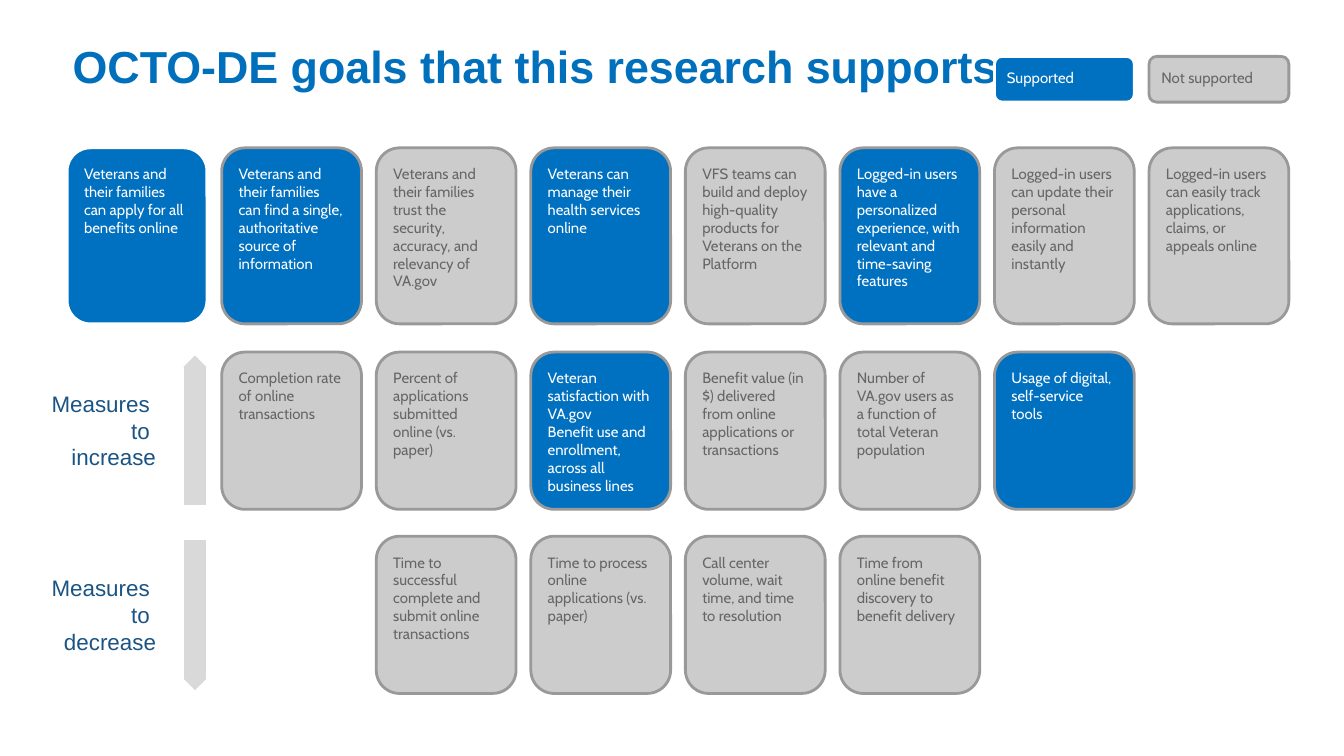
"""Build the slide that maps research to organisation goals and measures."""
from dataclasses import dataclass

from lxml import etree
from pptx import Presentation
from pptx import util as u
from pptx.dml.color import RGBColor
from pptx.enum import shapes, text
from pptx.oxml import ns


@dataclass(frozen=True)
class Theme:
    """Colours, fonts and type sizes of the slide."""
    title: str = "0070BC"
    label: str = "1A5484"
    supported: str = "0070C0"
    unsupported: str = "CCCCCC"
    outline: str = "999999"
    muted: str = "666666"
    white: str = "FFFFFF"
    arrow: str = "D9D9D9"
    heading_font: str = "Arial"
    card_font: str = "Cabin"
    title_size: int = 24
    label_size: int = 12
    card_size: int = 8


THEME = Theme()
SLIDE_WIDTH = 10
LEFT, PITCH, CARD_WIDTH = 0.5, 1.15, 1.04
CARD_INSET = 0.15 / 2

GOALS = [
    ("Veterans and their families can apply for all benefits online", True),
    ("Veterans and their families can find a single, authoritative source of information", True),
    ("Veterans and their families trust the security, accuracy, and relevancy of VA.gov", False),
    ("Veterans can manage their health services online", True),
    ("VFS teams can build and deploy high-quality products for Veterans on the Platform", False),
    ("Logged-in users have a personalized experience, with relevant and time-saving features", True),
    ("Logged-in users can update their personal information easily and instantly", False),
    ("Logged-in users can easily track applications, claims, or appeals online", False),
]
INCREASE = [
    ("Completion rate of online transactions", False),
    ("Percent of applications submitted online (vs. paper)", False),
    ("Veteran satisfaction with VA.gov\nBenefit use and enrollment, across all business lines", True),
    ("Benefit value (in $) delivered from online applications or transactions", False),
    ("Number of VA.gov users as a function of total Veteran population", False),
    ("Usage of digital, self-service tools", True),
]
DECREASE = [
    ("Time to successful complete and submit online transactions", False),
    ("Time to process online applications (vs. paper)", False),
    ("Call center volume, wait time, and time to resolution", False),
    ("Time from online benefit discovery to benefit delivery", False),
]
LEGEND = [("Supported", True), ("Not supported", False)]
ROWS = [(0.42, 0.34, 6, LEGEND), (1.1, 1.31, 0, GOALS),
        (2.62, 1.17, 1, INCREASE), (3.99, 1.17, 2, DECREASE)]


def color(value):
    """Turn a hex string into a colour."""
    return RGBColor.from_string(value)


def set_frame(frame, inset):
    """Wrap the frame from its top with equal insets."""
    frame.word_wrap = True
    frame.auto_size = text.MSO_AUTO_SIZE.NONE
    frame.vertical_anchor = text.MSO_ANCHOR.TOP
    frame.margin_left = frame.margin_right = u.Inches(inset)
    frame.margin_top = frame.margin_bottom = u.Inches(inset)


def add_run(paragraph, words, font_name, size, hue, bold=False):
    """Add one formatted run."""
    run = paragraph.add_run()
    run.text = words
    run.font.name = font_name
    run.font.size = u.Pt(size)
    run.font.bold = bold
    run.font.color.rgb = color(hue)


def set_title(slide, words):
    """Place and format the title."""
    title = slide.shapes.title
    title.left, title.top = u.Inches(0.5), u.Inches(0.25)
    title.width, title.height = u.Inches(8.25), u.Inches(0.69)
    set_frame(title.text_frame, 0.04)
    paragraph = title.text_frame.paragraphs[0]
    paragraph.alignment = text.PP_ALIGN.LEFT
    add_run(paragraph, words, THEME.heading_font, THEME.title_size, THEME.title, True)


def add_card(slide, column, top, height, words, supported, outline):
    """Add one rounded card in a grid column."""
    card = slide.shapes.add_shape(
        shapes.MSO_SHAPE.ROUNDED_RECTANGLE, u.Inches(LEFT + column * PITCH),
        u.Inches(top), u.Inches(CARD_WIDTH), u.Inches(height))
    card.adjustments[0] = 1 / 6
    card.shadow.inherit = False
    card.fill.solid()
    card.fill.fore_color.rgb = color(THEME.supported if supported else THEME.unsupported)
    card.line.color.rgb = color(outline)
    card.line.width = u.Pt(1.5)
    frame = card.text_frame
    set_frame(frame, CARD_INSET)
    for index, line in enumerate(words.split("\n")):
        paragraph = frame.add_paragraph() if index else frame.paragraphs[0]
        paragraph.alignment = text.PP_ALIGN.LEFT
        add_run(paragraph, line, THEME.card_font, THEME.card_size,
                THEME.white if supported else THEME.muted)


def add_row(slide, top, height, first_column, cards):
    """Add a row of cards; a supported card that opens a row has a white outline."""
    for index, (words, supported) in enumerate(cards):
        outline = THEME.white if supported and index == 0 else THEME.outline
        add_card(slide, first_column + index, top, height, words, supported, outline)


def add_label(slide, top, lines):
    """Add a right-aligned label of broken lines."""
    box = slide.shapes.add_textbox(u.Inches(0.12), u.Inches(top), u.Inches(1.14), u.Inches(0.89))
    set_frame(box.text_frame, 0.1)
    paragraph = box.text_frame.paragraphs[0]
    paragraph.alignment = text.PP_ALIGN.RIGHT
    for index, line in enumerate(lines):
        if index:
            paragraph.add_line_break()
        add_run(paragraph, line, THEME.heading_font, THEME.label_size, THEME.label)


def add_arrow(slide, start, end, rotation):
    """Add a thick vertical bar tipped with a turned square."""
    center, side = 1.45, 0.12
    group = slide.shapes.add_group_shape()
    bar = group.shapes.add_connector(
        shapes.MSO_CONNECTOR.STRAIGHT, u.Inches(center), u.Inches(start),
        u.Inches(center), u.Inches(end))
    bar.line.color.rgb = color(THEME.arrow)
    bar.line.width = u.Pt(12)
    etree.SubElement(bar._element.spPr, ns.qn("a:effectLst"))
    tip = group.shapes.add_shape(
        shapes.MSO_SHAPE.RECTANGLE, u.Inches(center - side / 2),
        u.Inches(end - side / 2), u.Inches(side), u.Inches(side))
    tip.rotation = rotation
    tip.shadow.inherit = False
    tip.fill.solid()
    tip.fill.fore_color.rgb = color(THEME.arrow)
    tip.line.fill.background()


def main():
    """Build and save the slide."""
    presentation = Presentation()
    presentation.slide_width = u.Inches(SLIDE_WIDTH)
    presentation.slide_height = u.Inches(SLIDE_WIDTH * 9 / 16)
    slide = presentation.slides.add_slide(presentation.slide_layouts[5])
    set_title(slide, "OCTO-DE goals that this research supports")
    for row in ROWS:
        add_row(slide, *row)
    add_arrow(slide, 3.76, 2.73, 315)
    add_arrow(slide, 4.02, 5.05, 135)
    add_label(slide, 2.8, ["Measures ", "to ", "increase"])
    add_label(slide, 4.17, ["Measures ", "to ", "decrease"])
    presentation.save("out.pptx")


if __name__ == "__main__":
    main()
